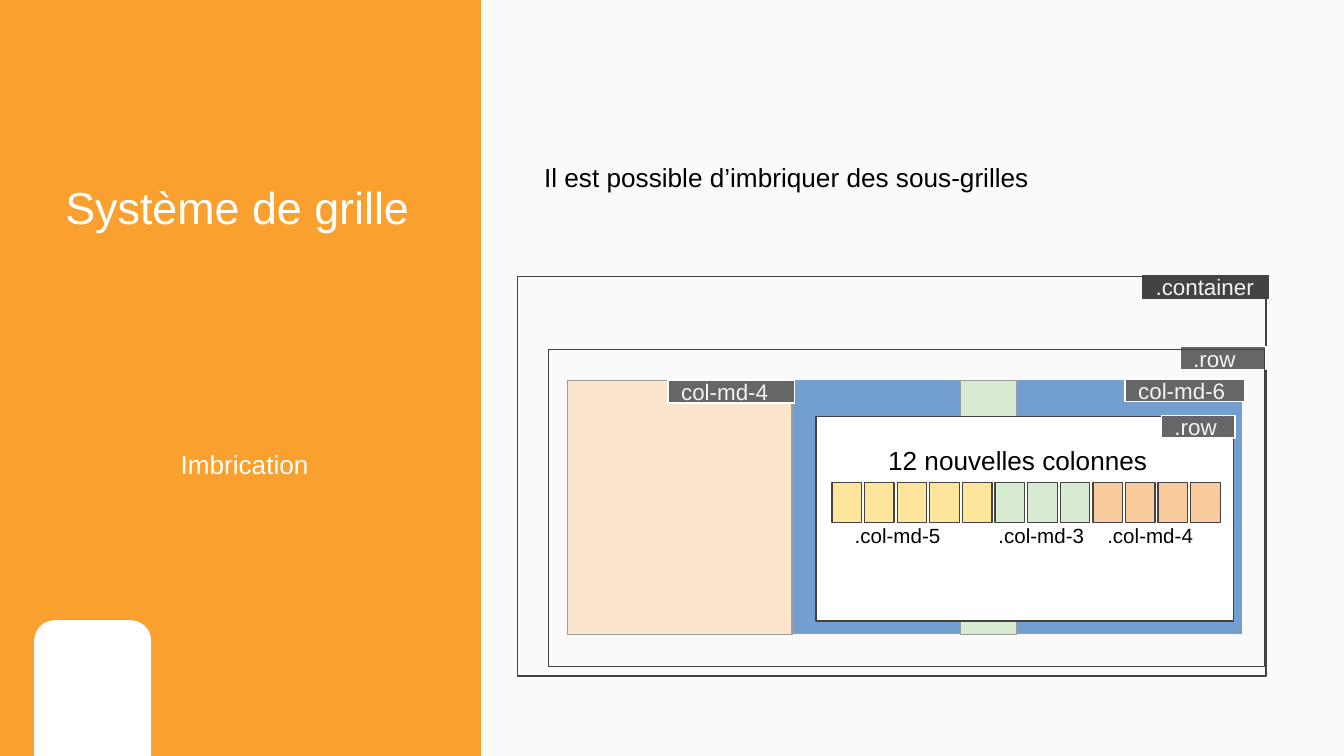
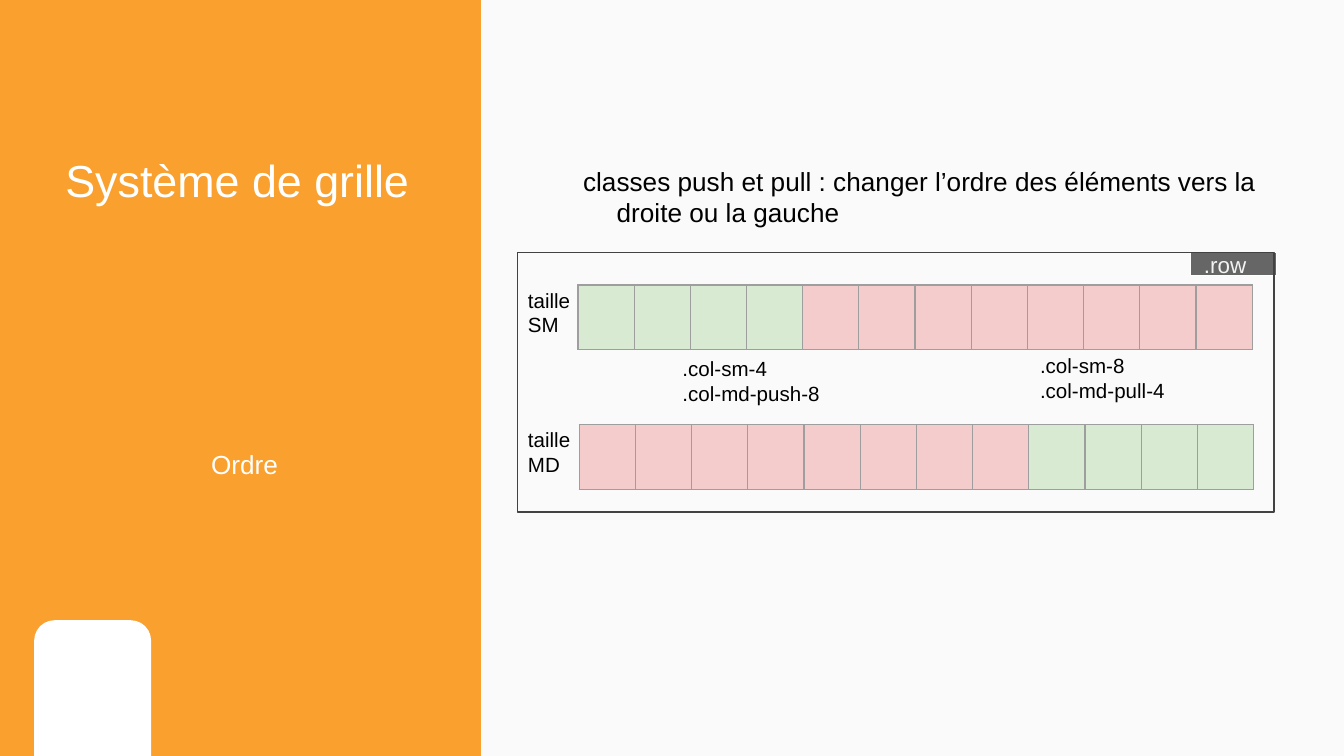
from dataclasses import dataclass

from lxml import etree
from pptx import Presentation
from pptx import util as u
from pptx.dml.color import RGBColor
from pptx.enum import shapes, text
from pptx.oxml import ns

Inches, Pt = u.Inches, u.Pt
Shape, Align, Anchor = shapes.MSO_SHAPE, text.PP_ALIGN, text.MSO_ANCHOR

FONT = "Arial"
ORANGE = RGBColor(0xF9, 0xA0, 0x2E)
PANEL = RGBColor(0xFA, 0xFA, 0xFA)
WHITE = RGBColor(0xFF, 0xFF, 0xFF)
BLACK = RGBColor(0x00, 0x00, 0x00)
OUTLINE = RGBColor(0x42, 0x42, 0x42)
CHARCOAL = RGBColor(0x43, 0x43, 0x43)
TAG_GREY = RGBColor(0x66, 0x66, 0x66)
TAG_TEXT = RGBColor(0xF3, 0xF3, 0xF3)
CELL_BORDER = RGBColor(0x9E, 0x9E, 0x9E)
BEIGE = RGBColor(0xFC, 0xE5, 0xCD)
GREEN = RGBColor(0xD9, 0xEA, 0xD3)
PINK = RGBColor(0xF4, 0xCC, 0xCC)
YELLOW = RGBColor(0xFF, 0xE5, 0x99)
PEACH = RGBColor(0xF9, 0xCB, 0x9C)

COLUMNS = 12
GRID_WIDTH = 5.02

TITLE = {"size": Pt(24), "color": WHITE}
SUBTITLE = {"size": Pt(14), "color": WHITE}
BODY = {"size": Pt(14), "color": BLACK}
CAPTION = {"size": Pt(11), "color": BLACK}
TAG = {"size": Pt(12), "color": TAG_TEXT}


@dataclass(frozen=True)
class Area:
    left: float
    top: float
    width: float
    height: float

    def lengths(self) -> list:
        return [Inches(v) for v in (self.left, self.top, self.width, self.height)]


@dataclass(frozen=True)
class Tag:
    label: str
    area: Area
    fill: RGBColor = TAG_GREY
    line: RGBColor = WHITE


@dataclass(frozen=True)
class Caption:
    words: str
    area: Area
    style: dict


@dataclass(frozen=True)
class Block:
    """Grid cells merged into one."""
    span: int
    fill: RGBColor


def write(frame, words: str, style: dict, align=Align.LEFT, anchor=Anchor.TOP) -> None:
    settings = {"word_wrap": True, "vertical_anchor": anchor}
    margins = ("margin_left", "margin_right", "margin_top", "margin_bottom")
    settings.update(dict.fromkeys(margins, Inches(0.1)))
    for key, value in settings.items():
        setattr(frame, key, value)
    for index, line in enumerate(words.split("\n")):
        paragraph = frame.paragraphs[0] if index == 0 else frame.add_paragraph()
        paragraph.alignment = align
        run = paragraph.add_run()
        run.text = line
        for key, value in {"name": FONT, "size": style["size"]}.items():
            setattr(run.font, key, value)
        run.font.color.rgb = style["color"]


def add_text(slide, caption: Caption, align=Align.LEFT, anchor=Anchor.TOP):
    frame = slide.shapes.add_textbox(*caption.area.lengths()).text_frame
    write(frame, caption.words, caption.style, align, anchor)
    return frame


def add_box(slide, area: Area, fill=None, line=OUTLINE, kind=Shape.RECTANGLE):
    box = slide.shapes.add_shape(kind, *area.lengths())
    box.shadow.inherit = False
    if fill is None:
        box.fill.background()
    else:
        box.fill.solid()
        box.fill.fore_color.rgb = fill
    if line is None:
        box.line.fill.background()
    else:
        box.line.color.rgb = line
        box.line.width = Pt(0.75)
    return box


def add_tag(slide, tag: Tag) -> None:
    box = add_box(slide, tag.area, tag.fill, tag.line)
    write(box.text_frame, tag.label, TAG, anchor=Anchor.MIDDLE)


def set_borders(cell) -> None:
    properties = cell._tc.get_or_add_tcPr()
    for index, side in enumerate("LRTB"):
        edge = etree.Element(ns.qn(f"a:ln{side}"), w=str(Pt(0.75)))
        fill = etree.SubElement(edge, ns.qn("a:solidFill"))
        etree.SubElement(fill, ns.qn("a:srgbClr"), val=str(CELL_BORDER))
        properties.insert(index, edge)


def add_grid(slide, left: float, top: float, height: float, blocks: list[Block]) -> None:
    area = Area(left, top, GRID_WIDTH, height)
    grid = slide.shapes.add_table(1, COLUMNS, *area.lengths()).table
    grid.first_row = grid.horz_banding = False
    start = 0
    for block in blocks:
        first = grid.cell(0, start)
        first.fill.solid()
        first.fill.fore_color.rgb = block.fill
        end = start + block.span
        for column in range(start, end):
            set_borders(grid.cell(0, column))
        if block.span > 1:
            first.merge(grid.cell(0, end - 1))
        start = end


def add_base(prs, subtitle: str, title_height: float):
    """Orange slide with the light panel, the white tab and both headings."""
    slide = prs.slides.add_slide(prs.slide_layouts[6])
    slide.background.fill.solid()
    slide.background.fill.fore_color.rgb = ORANGE
    tab = add_box(slide, Area(0.26, 4.62, 0.86, 1.01), WHITE, WHITE,
                  Shape.ROUND_2_SAME_RECTANGLE)
    tab.adjustments[0] = 0.17
    add_box(slide, Area(3.58, 0, 6.42, 5.63), PANEL, None)
    for heading in (
        Caption("Système de grille", Area(0.23, 0.48, 3.07, title_height), TITLE),
        Caption(subtitle, Area(0.68, 2.74, 2.28, 1.42), SUBTITLE),
    ):
        add_text(slide, heading, Align.CENTER, Anchor.MIDDLE)
    return slide


def build_nesting(prs) -> None:
    slide = add_base(prs, "Imbrication", 2.11)
    add_text(slide, Caption("Il est possible d’imbriquer des sous-grilles",
                            Area(3.95, 1.1, 5.59, 0.81), BODY))

    # Container and outer row
    add_box(slide, Area(3.85, 2.06, 5.57, 2.97))
    add_tag(slide, Tag(".container", Area(8.5, 2.05, 0.94, 0.17), CHARCOAL, OUTLINE))
    add_tag(slide, Tag(".row", Area(8.78, 2.58, 0.64, 0.17)))
    add_box(slide, Area(4.08, 2.6, 5.33, 2.36))
    add_grid(slide, 4.22, 2.83, 1.89, [Block(4, BEIGE), Block(8, GREEN)])

    # Inner row
    add_box(slide, Area(6.07, 3.1, 3.11, 1.52), WHITE)
    for tag in (
        Tag(".row", Area(8.64, 3.09, 0.55, 0.17)),
        Tag("col-md-6", Area(8.37, 2.82, 0.89, 0.17)),
        Tag("col-md-4", Area(4.97, 2.83, 0.94, 0.17)),
    ):
        add_tag(slide, tag)

    # Twelve inner columns
    pitch = 2.67 / (COLUMNS - 1)
    for index, fill in enumerate([YELLOW] * 5 + [GREEN] * 3 + [PEACH] * 4):
        add_box(slide, Area(6.19 + index * pitch, 3.59, 0.22, 0.3), fill, CHARCOAL)
    add_text(slide, Caption("12 nouvelles colonnes", Area(6.51, 3.21, 2.49, 0.3), BODY))
    widths = add_text(slide, Caption("\t.col-md-5\t.col-md-3\t.col-md-4",
                                     Area(6.09, 3.8, 2.98, 0.3), CAPTION))
    stops = etree.SubElement(widths.paragraphs[0]._p.get_or_add_pPr(), ns.qn("a:tabLst"))
    for position in (0.17, 1.24, 2.05):
        etree.SubElement(stops, ns.qn("a:tab"), pos=str(Inches(position)), algn="l")


def build_order(prs) -> None:
    slide = add_base(prs, "Ordre", 1.71)
    body = add_text(slide, Caption(
        "classes push et pull : changer l’ordre des éléments vers la droite ou la gauche",
        Area(3.99, 1.13, 5.59, 3.3), BODY))
    hanging = body.paragraphs[0]._p.get_or_add_pPr()
    for key, value in {"marL": Inches(0.5), "indent": Inches(-0.25)}.items():
        hanging.set(key, str(value))

    # Row frame
    add_tag(slide, Tag(".row", Area(8.86, 1.88, 0.64, 0.17)))
    add_box(slide, Area(3.85, 1.88, 5.63, 1.93))

    # Column order at each size
    green, pink = [Block(1, GREEN)] * 4, [Block(1, PINK)] * 8
    add_grid(slide, 4.3, 2.12, 0.48, green + pink)
    add_grid(slide, 4.31, 3.16, 0.48, pink + green)
    for caption in (
        Caption(".col-sm-4\n.col-md-push-8", Area(4.98, 2.55, 2.1, 0.82), CAPTION),
        Caption(".col-sm-8\n.col-md-pull-4", Area(7.64, 2.53, 2.1, 0.82), CAPTION),
        Caption("taille SM", Area(3.83, 2.04, 0.64, 0.82), CAPTION),
        Caption("taille MD", Area(3.83, 3.08, 0.68, 0.82), CAPTION),
    ):
        add_text(slide, caption)


def main() -> None:
    prs = Presentation()
    prs.slide_width = Inches(10)
    prs.slide_height = prs.slide_width * 9 // 16
    build_nesting(prs)
    build_order(prs)
    prs.save("out.pptx")


if __name__ == "__main__":
    main()
